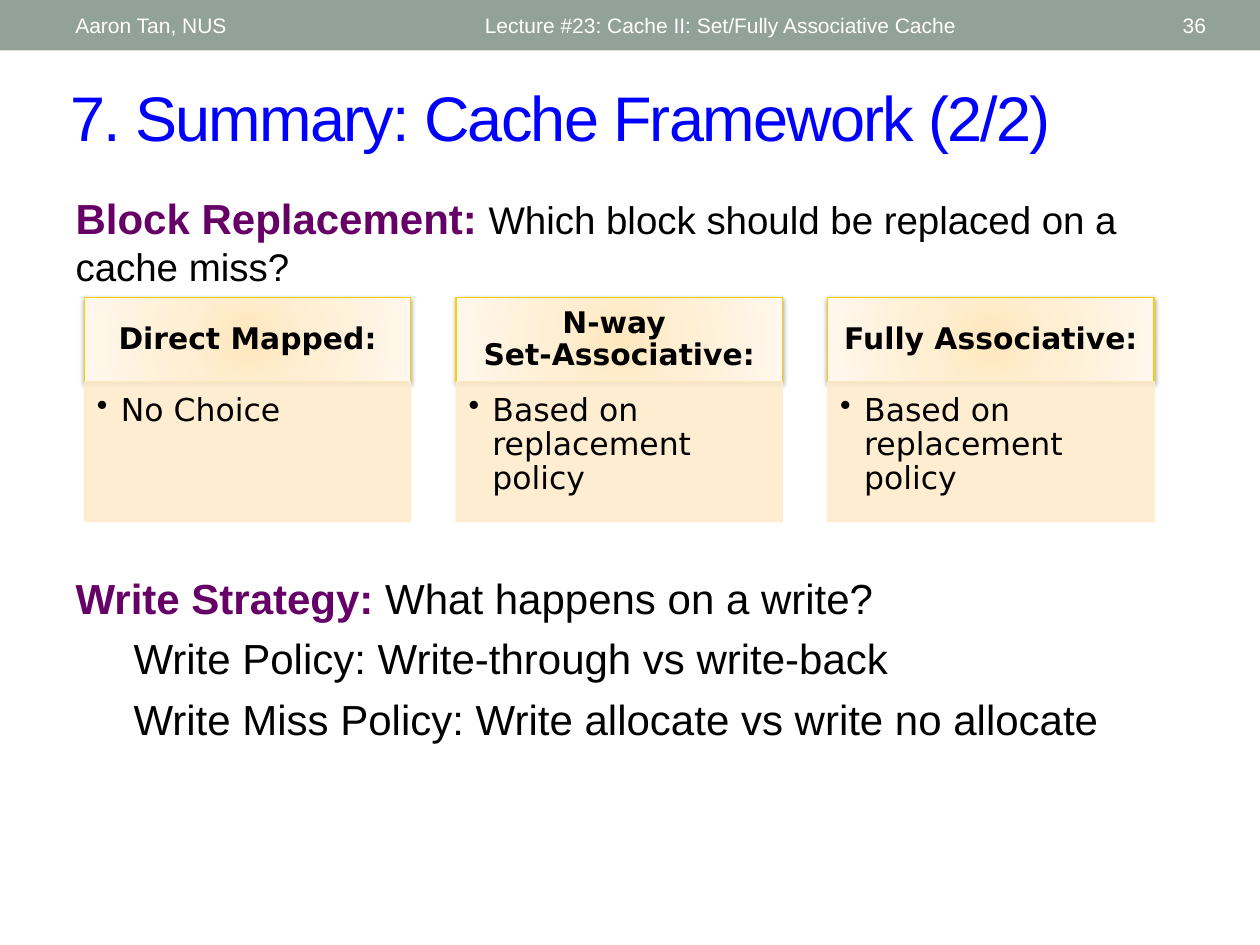
import pptx
import pptx.dml.color
import pptx.enum.shapes
import pptx.enum.text
import pptx.oxml
import pptx.oxml.ns
import pptx.util
from lxml import etree

Inches = pptx.util.Inches
Pt = pptx.util.Pt
ALIGN = pptx.enum.text.PP_ALIGN
ANCHOR = pptx.enum.text.MSO_ANCHOR
qn = pptx.oxml.ns.qn


def rgb(hex_colour):
    return pptx.dml.color.RGBColor.from_string(hex_colour)


def sub(parent, tag, **attributes):
    """Append a DrawingML child element to parent."""
    child = etree.SubElement(parent, qn(tag))
    for name, value in attributes.items():
        child.set(name, str(value))
    return child


class SummarySlide:
    SANS, CARD_FONT = "Arial", "DejaVu Sans"
    BLACK, WHITE, BLUE, PURPLE = "000000", "FFFFFF", "0000FF", "660066"
    BAR, GOLD, CREAM = "93A299", "FFCC00", "FFECCC"
    GLOW = ((0, "FFE7BD"), (35, "FFEED1"), (100, "FFF8EE"))

    def __init__(self, presentation):
        two_content = presentation.slide_layouts[3]
        self.slide = presentation.slides.add_slide(two_content)

    def place(self, shape, left, top, width, height):
        shape.left, shape.top = Inches(left), Inches(top)
        shape.width, shape.height = Inches(width), Inches(height)

    def style(self, font, size, colour, bold=False, face=SANS):
        font.name, font.size, font.bold = face, Pt(size), bold
        font.color.rgb = rgb(colour)

    def rectangle(self, left, top, width, height, fill):
        shape = self.slide.shapes.add_shape(
            pptx.enum.shapes.MSO_SHAPE.RECTANGLE,
            Inches(left), Inches(top), Inches(width), Inches(height))
        shape.shadow.inherit = False
        shape.fill.solid()
        shape.fill.fore_color.rgb = rgb(fill)
        shape.line.fill.background()
        return shape

    def header_text(self, text, left, width, align=ALIGN.LEFT):
        box = self.slide.shapes.add_textbox(
            Inches(left), Inches(0.02), Inches(width), Inches(0.36))
        frame = box.text_frame
        frame.word_wrap = True
        frame.vertical_anchor = ANCHOR.MIDDLE
        frame.text = text
        frame.paragraphs[0].alignment = align
        self.style(frame.paragraphs[0].runs[0].font, 12, self.WHITE)

    def title(self, text):
        title = self.slide.shapes.title
        self.place(title, 0.46, 0.57, 9.21, 0.7)
        frame = title.text_frame
        frame.auto_size = pptx.enum.text.MSO_AUTO_SIZE.NONE
        frame.vertical_anchor = ANCHOR.MIDDLE
        frame.text = text
        frame.paragraphs[0].alignment = ALIGN.LEFT
        run = frame.paragraphs[0].runs[0]
        self.style(run.font, 36, self.BLUE)
        run.font._element.set("spc", "-100")

    def topic(self, index, top, height, heading, question, size, details=()):
        """Fill a body placeholder with a bold heading, its question and details."""
        body = self.slide.placeholders[index]
        self.place(body, 0.5, top, 9, height)
        frame = body.text_frame
        frame.auto_size = pptx.enum.text.MSO_AUTO_SIZE.NONE
        frame.text = heading
        first = frame.paragraphs[0]
        first.add_run().text = question
        for detail in details:
            frame.add_paragraph().text = detail
        for paragraph in frame.paragraphs:
            is_first = paragraph._p is first._p
            properties = paragraph._p.get_or_add_pPr()
            properties.set("marL", str(Inches(0 if is_first else 0.46)))
            properties.set("indent", "0")
            sub(properties, "a:buNone")
            paragraph.space_before = Pt(0 if is_first else 6)
            for run in paragraph.runs:
                self.style(run.font, size, self.BLACK)
        self.style(first.runs[0].font, 24, self.PURPLE, bold=True)

    def glow(self, shape):
        """Give a shape a radial gradient and a soft shadow below."""
        properties = shape._element.spPr
        gradient = etree.Element(qn("a:gradFill"), rotWithShape="1")
        stops = sub(gradient, "a:gsLst")
        for position, colour in self.GLOW:
            stop = sub(stops, "a:gs", pos=position * 1000)
            sub(stop, "a:srgbClr", val=colour)
        radial = sub(gradient, "a:path", path="circle")
        sub(radial, "a:fillToRect", l=50000, t=50000, r=50000, b=50000)
        properties.replace(properties.find(qn("a:solidFill")), gradient)
        shadow = sub(properties.find(qn("a:effectLst")), "a:outerShdw",
                     blurRad=Pt(3.1), dist=Pt(1.6), dir=5400000, rotWithShape=0)
        sub(sub(shadow, "a:srgbClr", val=self.BLACK), "a:alpha", val=38000)

    def card_text(self, shape, text, size, insets, anchor, align, bold=False):
        frame = shape.text_frame
        frame.word_wrap = True
        frame.vertical_anchor = anchor
        (frame.margin_left, frame.margin_top,
         frame.margin_right, frame.margin_bottom) = map(Inches, insets)
        frame.text = text
        paragraph = frame.paragraphs[0]
        paragraph.alignment = align
        paragraph.line_spacing = 0.9
        for run in paragraph.runs:
            self.style(run.font, size, self.BLACK, bold, self.CARD_FONT)
        return paragraph

    def card(self, left, heading, answer):
        top, width, head_height, answer_height = 2.36, 2.59, 0.67, 1.11
        head = self.rectangle(left, top, width, head_height, self.CREAM)
        head.line.color.rgb = rgb(self.GOLD)
        head.line.width = Pt(0.75)
        self.glow(head)
        self.card_text(head, heading, 17, (0.13, 0.08, 0.13, 0.08),
                       ANCHOR.MIDDLE, ALIGN.CENTER, bold=True)

        panel = self.rectangle(left, top + head_height, width, answer_height,
                               self.CREAM)
        panel.line.color.rgb = rgb(self.CREAM)
        panel.line.width = Pt(0.75)
        for colour in panel._element.spPr.iter(qn("a:srgbClr")):
            sub(colour, "a:alpha", val=90000)
        paragraph = self.card_text(panel, answer, 18, (0.1, 0.1, 0.14, 0.16),
                                   ANCHOR.TOP, ALIGN.LEFT)
        properties = paragraph._p.get_or_add_pPr()
        properties.set("marL", str(Inches(0.19)))
        properties.set("indent", str(-Inches(0.19)))
        sub(properties, "a:buChar", char="•")


def main():
    presentation = pptx.Presentation()
    presentation.slide_width = Inches(10)
    presentation.slide_height = Inches(7.5)
    summary = SummarySlide(presentation)

    summary.rectangle(0, 0, 10, 0.4, summary.BAR)
    summary.header_text("Aaron Tan, NUS", 0.5, 3.17)
    summary.header_text("Lecture #23: Cache II: Set/Fully Associative Cache",
                        3.75, 4.5)
    summary.header_text("36", 8.72, 0.95, ALIGN.RIGHT)

    summary.title("7. Summary: Cache Framework (2/2)")
    summary.topic(1, 1.48, 1, "Block Replacement: ",
                  "Which block should be replaced on a cache miss?", 22)
    cards = (
        ("Direct Mapped:", "No Choice"),
        ("N-way \vSet-Associative:", "Based on replacement policy"),
        ("Fully Associative:", "Based on replacement policy"),
    )
    for column, (heading, answer) in enumerate(cards):
        summary.card(0.67 + 2.95 * column, heading, answer)
    summary.topic(2, 4.49, 1.58, "Write Strategy: ",
                  "What happens on a write?", 24,
                  ("Write Policy: Write-through vs write-back",
                   "Write Miss Policy: Write allocate vs write no allocate"))

    presentation.save("out.pptx")


if __name__ == "__main__":
    main()
